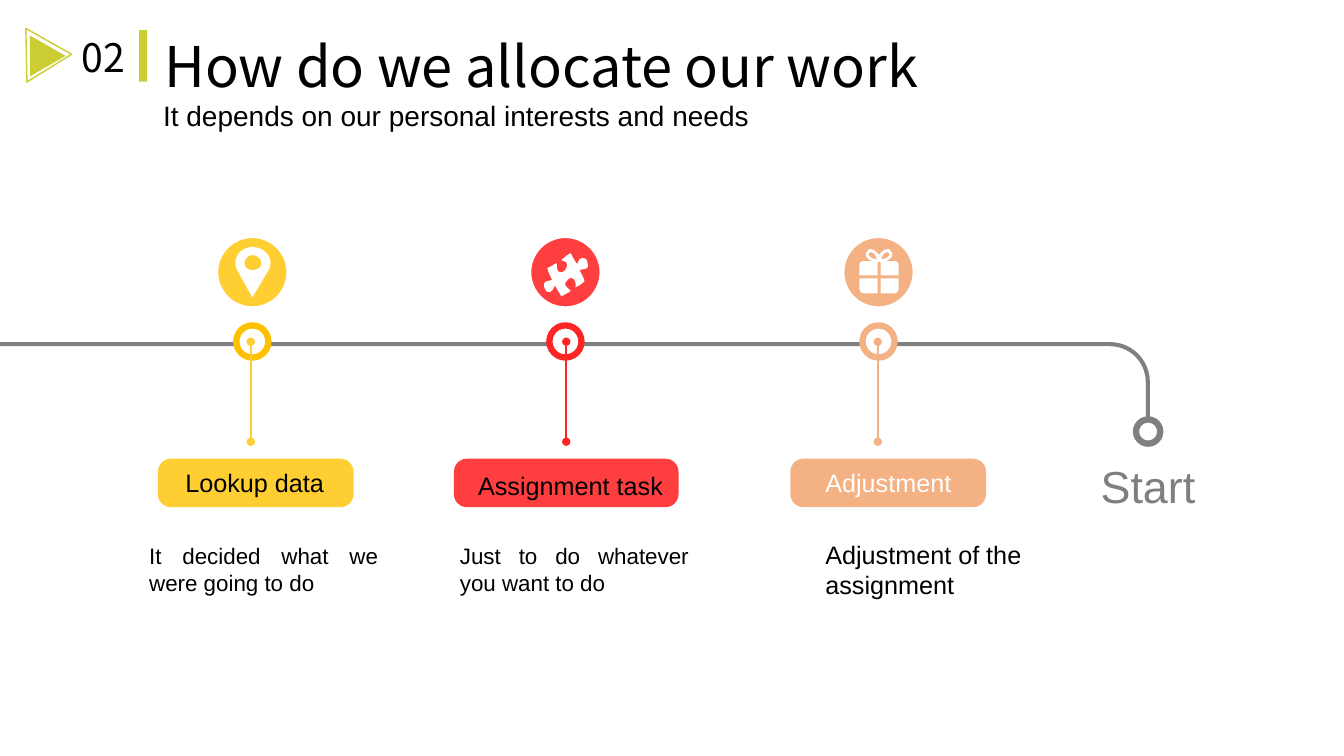
import collections
import dataclasses

import lxml.etree
import pptx
import pptx.dml.color
import pptx.enum.shapes
import pptx.enum.text
import pptx.oxml.ns
import pptx.util

Cm = pptx.util.Cm
Pt = pptx.util.Pt
qn = pptx.oxml.ns.qn
rgb = pptx.dml.color.RGBColor.from_string
Shape = pptx.enum.shapes.MSO_SHAPE
LEFT = pptx.enum.text.PP_ALIGN.LEFT
JUSTIFY = pptx.enum.text.PP_ALIGN.JUSTIFY


@dataclasses.dataclass(frozen=True)
class Theme:
    heading_font: str = "Noto Sans CJK SC"
    body_font: str = "Arial"
    black: str = "000000"
    white: str = "FFFFFF"
    lime: str = "CCCC33"
    road: str = "808080"
    start: str = "7F7F7F"
    yellow: str = "FFCE33"
    amber: str = "FFC000"
    coral: str = "FF3F3F"
    red: str = "FF2525"
    peach: str = "F4B183"
    title_size: int = 40
    start_size: int = 32
    number_size: int = 28
    subtitle_size: int = 20
    label_size: int = 18
    detail_size: int = 16


theme = Theme()


def paint(shape, fill=None, line=None, width=4.5):
    shape.shadow.inherit = False
    for color, target in ((fill, shape.fill), (line, shape.line.fill)):
        if color:
            target.solid()
            target.fore_color.rgb = rgb(color)
        else:
            target.background()
    if line:
        shape.line.width = Pt(width)
    return shape


def write(box, text, size, color=theme.black, font=theme.body_font, align=LEFT):
    frame = box.text_frame
    frame.word_wrap = True
    frame.auto_size = pptx.enum.text.MSO_AUTO_SIZE.SHAPE_TO_FIT_TEXT
    frame.vertical_anchor = pptx.enum.text.MSO_ANCHOR.TOP
    para = frame.paragraphs[0]
    para.alignment = align
    span = para.add_run()
    span.text = text
    span.font.size = Pt(size)
    span.font.name = font
    span.font.color.rgb = rgb(color)


# Icons: outlines made of contours around the disc centre, in ICON_UNIT.
# A contour is a start point, then lines (x, y) and curves (x1, y1, x2, y2, x, y).
ICON_UNIT = Cm(0.0254)
pin = [[
    [(18, -9), (18, -18, 10, -25, 0, -25), (-9, -25, -17, -18, -17, -9),
     (-17, -6, -16, -4, -15, -2), (0, 25), (16, -2), (17, -3, 18, -6, 18, -9)],
    [(0, -2), (-4, -2, -8, -5, -8, -9), (-8, -13, -4, -17, 0, -17),
     (5, -17, 9, -13, 9, -9), (9, -5, 5, -2, 0, -2)],
]]
puzzle = [[
    [(5, -19), (7, -16, 10, -9, 12, -8), (12, -9), (13, -15, 21, -17, 22, -9),
     (24, -1, 17, -4, 14, -2), (16, 2, 18, 5, 19, 9), (17, 11, 13, 14, 10, 15),
     (10, 14), (11, 7, 6, 2, 1, 9), (-4, 14, 6, 17, 5, 19), (2, 21, -1, 22, -4, 24),
     (-6, 21, -8, 17, -10, 14), (-11, 14), (-12, 19, -18, 24, -21, 15),
     (-23, 8, -17, 9, -14, 8), (-13, 8), (-15, 4, -17, 0, -18, -4),
     (-16, -5, -12, -7, -9, -9), (-7, -7, -11, 0, -4, 0), (0, 0, 3, -6, 1, -10),
     (-1, -11, -3, -11, -4, -12), (-3, -13), (-1, -15, 2, -17, 5, -19)],
]]
half_gift = [
    [[(9, -23), (7, -23, 5, -22, 3, -20), (0, -18, -2, -13, 1, -10),
      (1, -10, 2, -10, 4, -10), (6, -10, 9, -11, 11, -13),
      (14, -15, 15, -19, 12, -21), (12, -23, 10, -23, 9, -23)],
     [(9, -20), (9, -20, 10, -20, 10, -19), (10, -19, 11, -19, 11, -18),
      (11, -17, 10, -16, 9, -15), (8, -14, 5, -13, 4, -13), (3, -13),
      (3, -14, 3, -16, 5, -18), (6, -19, 8, -20, 9, -20)]],
    [[(20, 3), (20, -8), (20, -10, 18, -11, 16, -11), (2, -11), (2, 3)]],
    [[(2, 6), (2, 21), (16, 21), (18, 21, 20, 19, 20, 17), (20, 6)]],
]
gift = half_gift + [
    [[tuple(value if i % 2 else 1 - value for i, value in enumerate(step))
      for step in contour] for contour in outline]
    for outline in half_gift
]

Stop = collections.namedtuple(
    "Stop", "label detail icon fill ring stem stem_x pill_left pill_width label_at detail_at "
    "label_color detail_size detail_align")
stops = [
    Stop("Lookup data", "It decided what we were going to do", pin,
         theme.yellow, theme.amber, theme.yellow, 6.32, 3.98, 4.93,
         (4.42, 11.66), (3.51, 13.54), theme.black, theme.detail_size, JUSTIFY),
    Stop("Assignment task", "Just to do whatever you want to do", puzzle,
         theme.coral, theme.red, theme.red, 14.27, 11.44, 5.66,
         (11.8, 11.72), (11.34, 13.54), theme.black, theme.detail_size, JUSTIFY),
    Stop("Adjustment", "Adjustment of the assignment", gift,
         theme.peach, theme.peach, theme.peach, 22.12, 19.92, 4.93,
         (20.55, 11.66), (20.55, 13.46), theme.white, theme.label_size, LEFT),
]

deck = pptx.Presentation()
deck.slide_width = Cm(33.87)
deck.slide_height = Cm(19.05)
slide = deck.slides.add_slide(deck.slide_layouts[5])
shapes = slide.shapes

# Road
road = paint(shapes.add_shape(
    Shape.BENT_ARROW, Cm(-0.05), Cm(8.62), Cm(29.03), Cm(2.13)), theme.road)
for index, value in enumerate((0.049, 0.025, 0, 0.471)):
    road.adjustments[index] = value
road.element.spPr.xfrm.set("flipH", "1")

# Header
title = shapes.title
title.left, title.top, title.width, title.height = Cm(3.89), Cm(0.66), Cm(20.93), Cm(1.96)
write(title, "How do we allocate our work", theme.title_size, font=theme.heading_font)
paint(shapes.add_shape(Shape.RECTANGLE, Cm(3.51), Cm(0.76), Cm(0.2), Cm(1.3)), theme.lime)
write(shapes.add_textbox(Cm(1.8), Cm(0.71), Cm(1.91), Cm(1.45)), "02",
      theme.number_size, font=theme.heading_font)
write(shapes.add_textbox(Cm(3.86), Cm(2.36), Cm(15.82), Cm(1.12)),
      "It depends on our personal interests and needs", theme.subtitle_size)
outer = shapes.add_shape(Shape.ISOSCELES_TRIANGLE, Cm(0.56), Cm(0.81), Cm(1.35), Cm(1.14))
outer.rotation = 88.8
paint(outer, line=theme.lime, width=1)
inner = shapes.add_shape(Shape.ISOSCELES_TRIANGLE, Cm(0.46), Cm(1.09), Cm(1.04), Cm(0.89))
inner.rotation = 209.8
paint(inner, theme.lime)

# Stops
disc, node, disc_top = Cm(1.88), Cm(0.81), Cm(5.92)
for number, stop in enumerate(stops):
    center = Cm(6.36) + number * Cm(7.89)
    middle = disc_top + disc // 2
    paint(shapes.add_shape(Shape.OVAL, center - disc // 2, disc_top, disc, disc),
          stop.fill, theme.white)
    for outline in stop.icon:
        builder = shapes.build_freeform(center + outline[0][0][0] * ICON_UNIT,
                                        middle + outline[0][0][1] * ICON_UNIT)
        for contour in outline:
            placed = [(center + step[-2] * ICON_UNIT, middle + step[-1] * ICON_UNIT)
                      for step in contour]
            if contour is not outline[0]:
                builder.move_to(*placed[0])
            builder.add_line_segments(placed[1:], close=True)
        piece = paint(builder.convert_to_shape(), theme.white)
        steps = [step for contour in outline for step in contour[1:]]
        # Bend the segments that have control points
        for segment, step in zip(list(piece.element.iter(qn("a:lnTo"))), steps):
            if len(step) == 6:
                segment.tag = qn("a:cubicBezTo")
                for place in (0, 1):
                    x, y = step[2 * place:2 * place + 2]
                    handle = lxml.etree.Element(
                        qn("a:pt"), x=str(center + x * ICON_UNIT - piece.left),
                        y=str(middle + y * ICON_UNIT - piece.top))
                    segment.insert(place, handle)

    paint(shapes.add_shape(Shape.OVAL, center - node // 2, Cm(8.2), node, node),
          theme.white, stop.ring)
    stem = shapes.add_connector(pptx.enum.shapes.MSO_CONNECTOR.STRAIGHT,
                                Cm(stop.stem_x), Cm(8.61), Cm(stop.stem_x), Cm(11.13))
    stem.line.color.rgb = rgb(stop.stem)
    stem.line.width = Pt(1.5)
    for end in ("a:headEnd", "a:tailEnd"):
        lxml.etree.SubElement(stem.element.spPr.find(qn("a:ln")), qn(end), type="oval")
    lxml.etree.SubElement(stem.element.spPr, qn("a:effectLst"))

    pill = paint(shapes.add_shape(Shape.ROUNDED_RECTANGLE, Cm(stop.pill_left), Cm(11.56),
                                  Cm(stop.pill_width), Cm(1.22)), stop.fill)
    pill.adjustments[0] = 0.267
    write(shapes.add_textbox(*map(Cm, stop.label_at), Cm(6.2), Cm(1.02)),
          stop.label, theme.label_size, stop.label_color)
    write(shapes.add_textbox(*map(Cm, stop.detail_at), Cm(6.27), Cm(1.63)),
          stop.detail, stop.detail_size, align=stop.detail_align)

# Start of the road
paint(shapes.add_shape(Shape.OVAL, Cm(28.63), Cm(10.57), Cm(0.61), Cm(0.61)),
      theme.white, theme.road)
write(shapes.add_textbox(Cm(27.49), Cm(11.44), Cm(3.89), Cm(1.63)),
      "Start", theme.start_size, theme.start)
deck.save("out.pptx")
